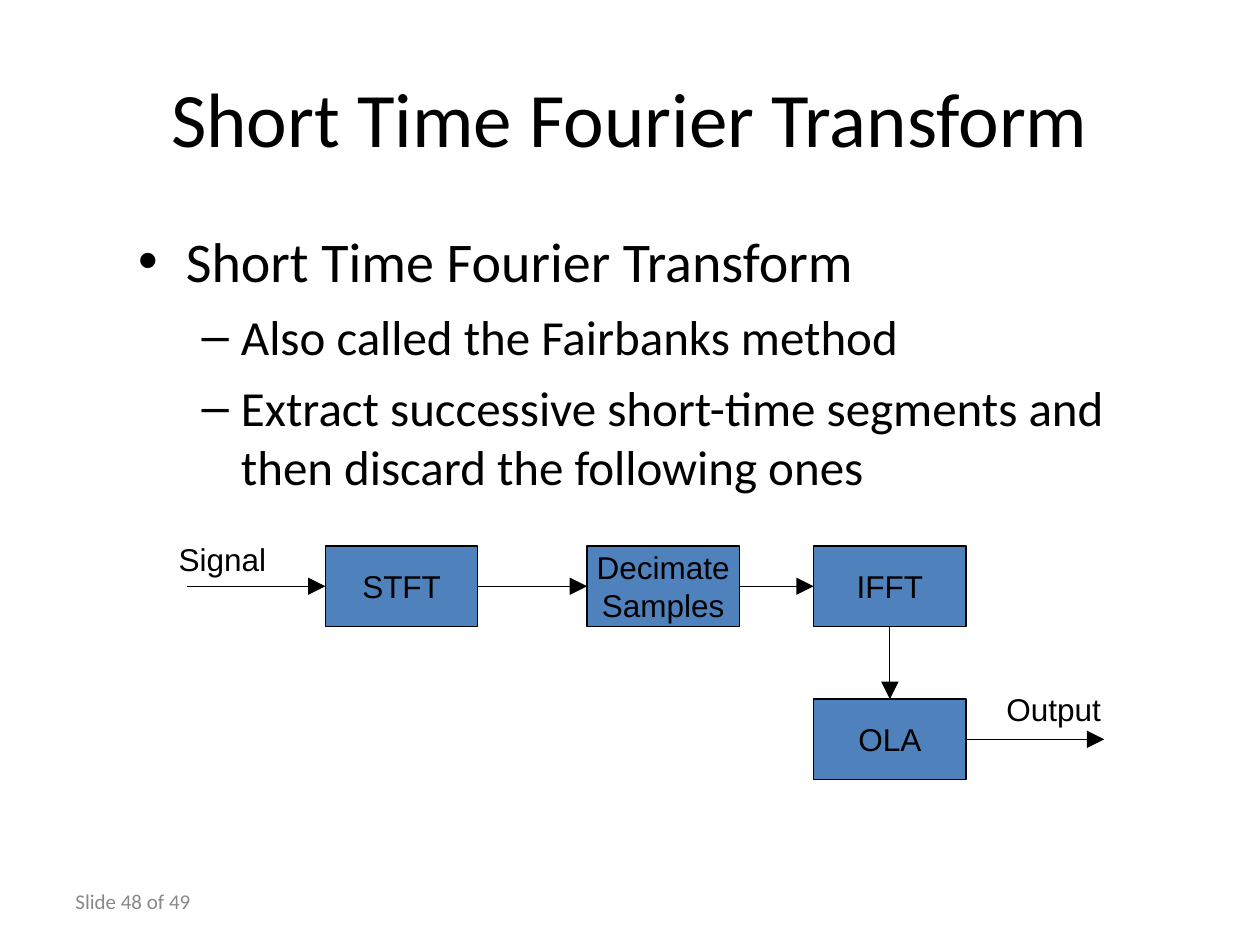
from lxml import etree
from pptx import Presentation
from pptx.dml.color import RGBColor
from pptx.enum.shapes import MSO_CONNECTOR, MSO_SHAPE
from pptx.enum.text import MSO_ANCHOR, MSO_AUTO_SIZE, PP_ALIGN
from pptx.oxml.ns import qn
from pptx.util import Pt

RECTANGLE = MSO_SHAPE.RECTANGLE
STRAIGHT = MSO_CONNECTOR.STRAIGHT
MIDDLE = MSO_ANCHOR.MIDDLE
NO_AUTOFIT = MSO_AUTO_SIZE.NONE
LEFT, CENTER = PP_ALIGN.LEFT, PP_ALIGN.CENTER
TOP_SIDE, LEFT_SIDE, BOTTOM_SIDE, RIGHT_SIDE = range(4)

BLACK, GREY, BLUE = "000000", "898989", "4F81BD"
STAGE_WIDTH, STAGE_HEIGHT = 87, 46
LABEL_WIDTH, LABEL_HEIGHT = 72, 29


def color(hex_string):
    return RGBColor.from_string(hex_string)


def place(part, left, top, width, height):
    part.left, part.top = Pt(left), Pt(top)
    part.width, part.height = Pt(width), Pt(height)


def style(paragraph, size, font="Calibri", hex_string=BLACK, align=LEFT):
    paragraph.alignment = align
    paragraph.font.size = Pt(size)
    paragraph.font.name = font
    paragraph.font.color.rgb = color(hex_string)


def add_title(slide, text, box):
    title = slide.shapes.title
    place(title, *box)
    frame = title.text_frame
    frame.text = text
    frame.auto_size = NO_AUTOFIT
    frame.vertical_anchor = MIDDLE
    style(frame.paragraphs[0], 44, align=CENTER)


def add_bullets(slide, items, box):
    body = slide.placeholders[1]
    place(body, *box)
    frame = body.text_frame
    frame.text = "\n".join(text for _, text in items)
    frame.auto_size = NO_AUTOFIT
    for index, (paragraph, (level, _)) in enumerate(zip(frame.paragraphs, items)):
        paragraph.level = level
        paragraph.space_before = Pt(7 if index else 0)
        style(paragraph, 28 if level else 32)


def add_label(shapes, text, box, size, font, hex_string=BLACK, wrap=False):
    label = shapes.add_textbox(*map(Pt, box))
    frame = label.text_frame
    frame.text = text
    frame.word_wrap = wrap
    style(frame.paragraphs[0], size, font, hex_string)
    return label


def add_stage(shapes, text, left, top):
    stage = shapes.add_shape(RECTANGLE, Pt(left), Pt(top), Pt(STAGE_WIDTH), Pt(STAGE_HEIGHT))
    stage.shadow.inherit = False
    stage.fill.solid()
    stage.fill.fore_color.rgb = color(BLUE)
    stage.line.color.rgb = color(BLACK)
    stage.line.width = Pt(0.75)
    frame = stage.text_frame
    frame.text = text
    frame.word_wrap = False
    frame.vertical_anchor = MIDDLE
    for paragraph in frame.paragraphs:
        style(paragraph, 18, "Arial", align=CENTER)
    return stage


def add_arrow(shapes, start, end):
    """Each end is a point (x, y) or a joined side (stage, side)."""
    arrow = shapes.add_connector(STRAIGHT, 0, 0, 0, 0)
    for (first, second), (x_name, y_name), join in (
        (start, ("begin_x", "begin_y"), arrow.begin_connect),
        (end, ("end_x", "end_y"), arrow.end_connect),
    ):
        if isinstance(first, (int, float)):
            setattr(arrow, x_name, Pt(first))
            setattr(arrow, y_name, Pt(second))
        else:
            join(first, second)
    arrow.line.color.rgb = color(BLACK)
    arrow.line.width = Pt(0.75)
    properties = arrow.element.spPr
    etree.SubElement(properties.find(qn("a:ln")), qn("a:tailEnd"), type="triangle", w="lg", len="lg")
    etree.SubElement(properties, qn("a:effectLst"))


def add_pipeline(slide, box):
    left, top, width, height = box
    shapes = slide.shapes
    row_top = top + 7
    row_middle = row_top + STAGE_HEIGHT / 2
    last_top = top + height - STAGE_HEIGHT
    last_middle = last_top + STAGE_HEIGHT / 2

    # Stages
    stft = add_stage(shapes, "STFT", left + 91, row_top)
    decimate = add_stage(shapes, "Decimate\nSamples", left + 240.5, row_top)
    ifft = add_stage(shapes, "IFFT", left + 370, row_top)
    ola = add_stage(shapes, "OLA", left + 370, last_top)

    # Flow
    add_arrow(shapes, (left + 12, row_middle), (stft, LEFT_SIDE))
    add_arrow(shapes, (stft, RIGHT_SIDE), (decimate, LEFT_SIDE))
    add_arrow(shapes, (decimate, RIGHT_SIDE), (ifft, LEFT_SIDE))
    add_arrow(shapes, (ifft, BOTTOM_SIDE), (ola, TOP_SIDE))
    add_arrow(shapes, (ola, RIGHT_SIDE), (left + width - 6, last_middle))

    # Input and output labels
    for text, label_left, label_top in (
        ("Signal", left, top),
        ("Output", left + width - 69, last_top - 9),
    ):
        add_label(shapes, text, (label_left, label_top, LABEL_WIDTH, LABEL_HEIGHT), 18, "Arial")


def add_slide_count(slide, text, box):
    count = add_label(slide.shapes, text, box, 12, "Calibri", GREY, wrap=True)
    count.text_frame.vertical_anchor = MIDDLE


def main():
    presentation = Presentation()
    presentation.slide_width, presentation.slide_height = Pt(720), Pt(540)
    slide = presentation.slides.add_slide(presentation.slide_layouts[1])

    add_title(slide, "Short Time Fourier Transform", (36, 21.6, 648, 90))
    add_bullets(slide, [
        (0, "Short Time Fourier Transform"),
        (1, "Also called the Fairbanks method"),
        (1, "Extract successive short-time segments and then discard the following ones"),
    ], (72, 126, 612, 166))
    add_pipeline(slide, (95, 305, 542, 140.5))
    add_slide_count(slide, "Slide 48 of 49", (36, 500.5, 168, 29))

    presentation.save("out.pptx")


if __name__ == "__main__":
    main()
